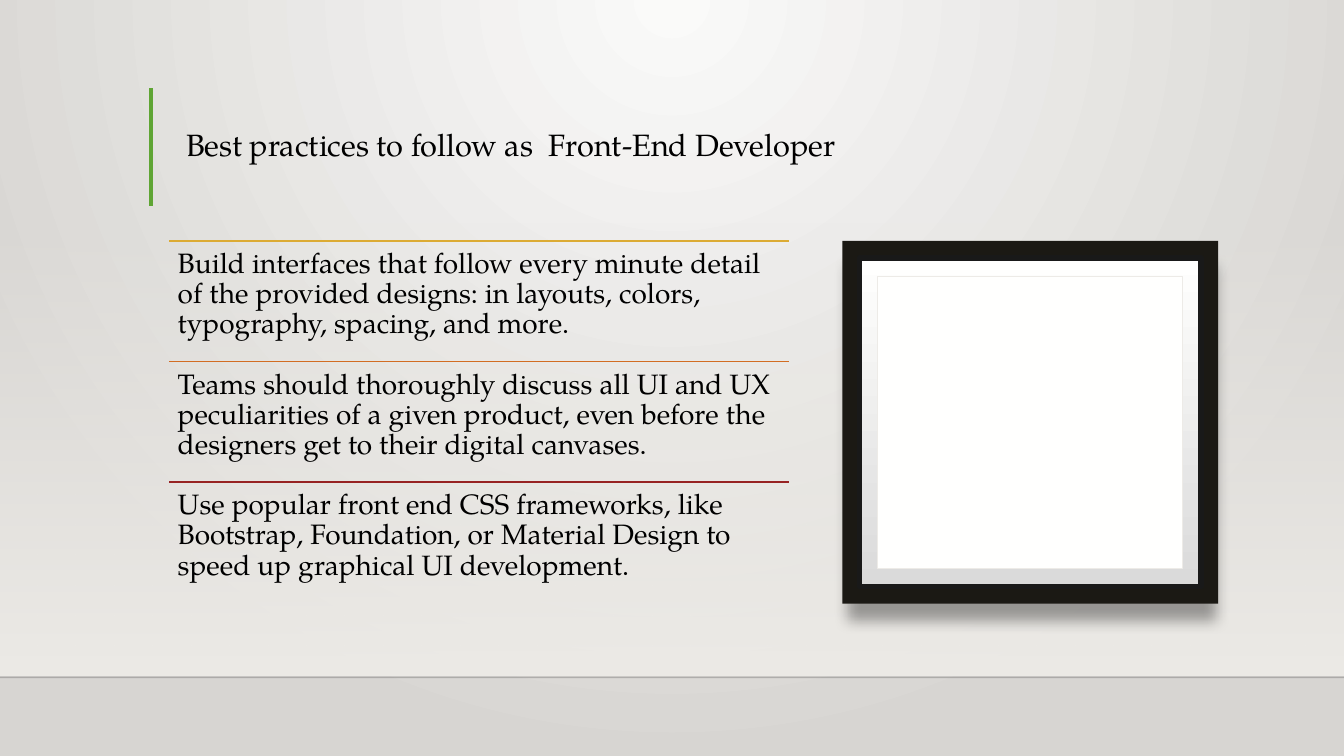
from lxml import etree
from pptx import Presentation
from pptx.dml.color import RGBColor
from pptx.enum.shapes import MSO_CONNECTOR, MSO_SHAPE
from pptx.enum.text import MSO_ANCHOR, PP_ALIGN
from pptx.oxml.ns import qn
from pptx.util import Cm, Pt

RECT = MSO_SHAPE.RECTANGLE
STRAIGHT = MSO_CONNECTOR.STRAIGHT
LEFT = PP_ALIGN.LEFT
TOP, MIDDLE = MSO_ANCHOR.TOP, MSO_ANCHOR.MIDDLE
FONT = "TeX Gyre Pagella"
SLIDE_W, SLIDE_H = 33.87, 19.05

COLORS = {
    "text": "000000", "bg_light": "FAFAF9", "bg_dark": "D7D5D2",
    "wall": "EDEBE7", "floor": "000001", "accent": "5FA534",
    "frame": "1B1914", "frame_edge": "191919", "mat": "DADADA",
    "white": "FFFFFE", "gold": "DCAB34", "orange": "D26D23", "red": "972323",
}

PRACTICES = [
    ("gold", "Build interfaces that follow every minute detail of the provided "
             "designs: in layouts, colors, typography, spacing, and more."),
    ("orange", "Teams should thoroughly discuss all UI and UX peculiarities of a given "
               "product, even before the designers get to their digital canvases."),
    ("red", "Use popular front end CSS frameworks, like Bootstrap, Foundation, or "
            "Material Design to speed up graphical UI development."),
]


def rgb(name):
    return RGBColor.from_string(COLORS[name])


def sub(parent, tag, **attrs):
    return etree.SubElement(parent, qn(tag), {k: str(v) for k, v in attrs.items()})


def add_color(parent, name, alpha=100):
    clr = sub(parent, "a:srgbClr", val=COLORS[name])
    if alpha < 100:
        sub(clr, "a:alpha", val=alpha * 1000)


def set_gradient(fill, owner, stops, angle=None, focus=None):
    fill.gradient()
    grad = next(owner.iter(qn("a:gradFill")))
    for child in list(grad):
        grad.remove(child)
    gs_lst = sub(grad, "a:gsLst")
    for pos, name, alpha in stops:
        add_color(sub(gs_lst, "a:gs", pos=pos * 1000), name, alpha)
    if focus:
        path = sub(grad, "a:path", path="circle")
        sub(path, "a:fillToRect", **{k: v * 1000 for k, v in focus.items()})
    else:
        sub(grad, "a:lin", ang=angle * 60000, scaled=0)


def add_rect(slide, x, y, w, h, fill=None, line=None, width=1):
    sp = slide.shapes.add_shape(RECT, Cm(x), Cm(y), Cm(w), Cm(h))
    sp.shadow.inherit = False
    if fill:
        sp.fill.solid()
        sp.fill.fore_color.rgb = rgb(fill)
    if line:
        sp.line.color.rgb = rgb(line)
        sp.line.width = Pt(width)
    else:
        sp.line.fill.background()
    return sp


def add_line(slide, x1, y1, x2, y2, color, width, alpha=100):
    cxn = slide.shapes.add_connector(STRAIGHT, Cm(x1), Cm(y1), Cm(x2), Cm(y2))
    cxn.line.color.rgb = rgb(color)
    cxn.line.width = Pt(width)
    sub(cxn.element.spPr, "a:effectLst")
    if alpha < 100:
        sub(next(cxn.element.iter(qn("a:srgbClr"))), "a:alpha", val=alpha * 1000)


def set_text(tf, text, size, frame_format):
    for name, value in frame_format.items():
        setattr(tf, name, value)
    p = tf.paragraphs[0]
    for name, value in {"alignment": LEFT, "line_spacing": 0.9}.items():
        setattr(p, name, value)
    r = p.add_run()
    r.text = text
    for name, value in {"name": FONT, "size": Pt(size)}.items():
        setattr(r.font, name, value)
    r.font.color.rgb = rgb("text")


def add_backdrop(slide, w, h):
    set_gradient(slide.background.fill, slide.element,
                 [(0, "bg_light", 100), (100, "bg_dark", 100)],
                 focus={"l": 43, "t": 0, "r": 43, "b": 100})
    wall = add_rect(slide, 0, h - 13.46, w, 11.43)
    set_gradient(wall.fill, wall.element,
                 [(0, "wall", 0), (100, "wall", 100)], angle=90)
    add_line(slide, 0, h - 1.98, w, h - 1.98, "floor", 1, alpha=20)


def add_title(slide, x, y, w, h):
    add_line(slide, x - 0.46, y - 0.02, x - 0.46, y + h + 0.03, "accent", 3)
    title = slide.shapes.title
    for name, value in {"left": x, "top": y, "width": w, "height": h}.items():
        setattr(title, name, Cm(value))
    set_text(title.text_frame, "Best practices to follow as  Front-End Developer", 22,
             {"word_wrap": True, "vertical_anchor": MIDDLE, "margin_left": Cm(0.42)})


def add_practices(slide, x, y, w, h):
    row_h = h / len(PRACTICES)
    margins = {f"margin_{side}": Cm(0.21) for side in ("left", "top", "right", "bottom")}
    for i, (color, text) in enumerate(PRACTICES):
        top = y + i * row_h
        add_line(slide, x, top, x + w, top, color, 1.25)
        box = slide.shapes.add_textbox(Cm(x), Cm(top), Cm(w), Cm(row_h))
        set_text(box.text_frame, text, 20,
                 {"word_wrap": True, "vertical_anchor": TOP, **margins})


def add_picture_frame(slide, x, y, w, h):
    def inset(d):
        return x + d, y + d, w - 2 * d, h - 2 * d

    frame = add_rect(slide, *inset(0), fill="frame")
    effects = frame.element.spPr.find(qn("a:effectLst"))
    shadow = sub(effects, "a:outerShdw", blurRad=Pt(10), dist=Pt(18), dir=79 * 60000,
                 sx=98000, sy=98000, algn="tl", rotWithShape=0)
    add_color(shadow, "text", 34)
    mat = add_rect(slide, *inset(0.43), line="frame_edge", width=4)
    set_gradient(mat.fill, mat.element,
                 [(0, "mat", 100), (100, "white", 100)], angle=270)
    add_rect(slide, *inset(0.89), fill="white", line="wall", width=0.5)


def main():
    prs = Presentation()
    prs.slide_width, prs.slide_height = Cm(SLIDE_W), Cm(SLIDE_H)
    slide = prs.slides.add_slide(prs.slide_layouts[5])
    add_backdrop(slide, SLIDE_W, SLIDE_H)
    add_title(slide, 4.27, 2.24, 26.44, 2.92)
    add_picture_frame(slide, 21.23, 6.07, 9.47, 9.14)
    add_practices(slide, 4.27, 6.07, 15.62, 9.12)
    prs.save("out.pptx")


if __name__ == "__main__":
    main()
